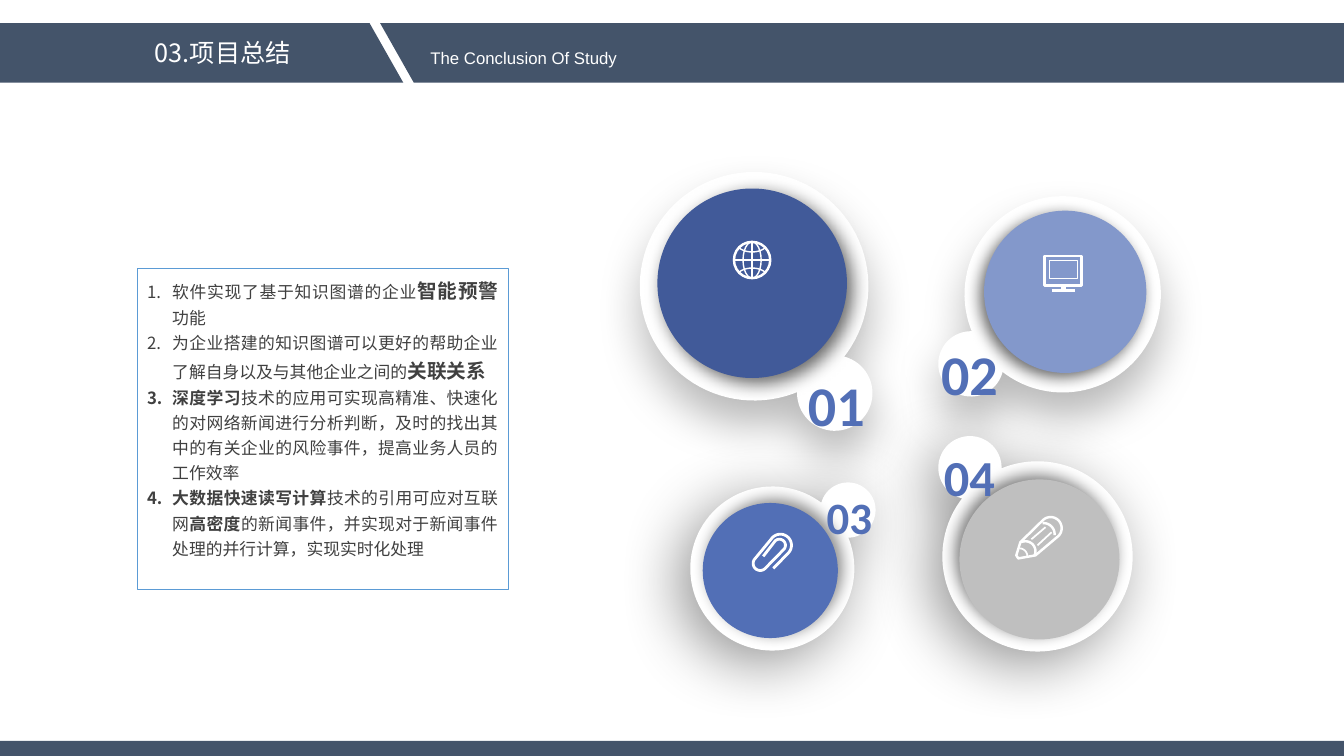
from math import acos, atan2, cos, degrees, hypot, radians, sin

from lxml.etree import SubElement
from pptx import Presentation
from pptx.dml.color import RGBColor
from pptx.enum.shapes import MSO_SHAPE as Shape
from pptx.enum.text import MSO_ANCHOR as Anchor, PP_ALIGN as Align
from pptx.oxml.ns import qn
from pptx.util import Inches, Pt

COLORS = {
    "white": "FFFFFF", "slate": "44546A", "navy": "415A99", "blue": "526FB6",
    "sky": "8398CB", "gray": "BFBFBF", "border": "5B9BD5", "ink": "404040", "black": "000000",
}
CJK = "Noto Sans CJK SC"
TITLE = "03.项目总结"
SUBTITLE = "The Conclusion Of Study"

CONCLUSIONS = [
    [("软件实现了基于知识图谱的企业", 12, False), ("智能预警", 14, True), ("功能", 12, False)],
    [("为企业搭建的知识图谱可以更好的帮助企业了解自身以及与其他企业之间的", 12, False),
     ("关联关系", 14, True)],
    [("深度学习", 12, True),
     ("技术的应用可实现高精准、快速化的对网络新闻进行分析判断，及时的找出其中的有关企业的风险事件，"
      "提高业务人员的工作效率", 12, False)],
    [("大数据快速读写计算", 12, True), ("技术的引用可应对互联网", 12, False),
     ("高密度", 12, True),
     ("的新闻事件，并实现对于新闻事件处理的并行计算，实现实时化处理", 12, False)],
]


def arc(cx, cy, rx, ry, start, end, steps=24):
    angles = [radians(start + (end - start) * i / steps) for i in range(steps + 1)]
    return [(cx + rx * cos(a), cy + ry * sin(a)) for a in angles]


def box(left, top, right, bottom):
    return [(left, top), (right, top), (right, bottom), (left, bottom), (left, top)]


GLOBE = [
    (1.75, [arc(7.46, 2.58, 0.18, 0.18, 0, 360)]),
    (1, [arc(7.46, 2.58, 0.09, 0.18, 0, 360),
         [(7.46, 2.4), (7.46, 2.76)], [(7.28, 2.58), (7.64, 2.58)],
         arc(7.46, 2.4, 0.16, 0.1, 150, 30), arc(7.46, 2.76, 0.16, 0.1, 210, 330)]),
]
MONITOR = [
    (2, [box(10.36, 2.54, 10.73, 2.83), [(10.43, 2.88), (10.66, 2.88)]]),
    (4, [[(10.55, 2.83), (10.55, 2.87)]]),
    (0.75, [box(10.41, 2.58, 10.69, 2.76)]),
]
PENCIL = [
    (1.75, [[(10.08, 5.51), (10.12, 5.38)] + arc(10.42, 5.24, 0.11, 0.11, -132, 45)
            + [(10.27, 5.51), (10.1, 5.54), (10.08, 5.51)],
            arc(10.35, 5.3, 0.11, 0.11, -95, 5),
            arc(10.17, 5.47, 0.1, 0.1, -115, 25)]),
    (1.25, [[(10.23, 5.35), (10.37, 5.23)], [(10.29, 5.41), (10.43, 5.28)],
            arc(10.11, 5.52, 0.08, 0.08, -90, 0)]),
]
PAPERCLIP = [
    (2, [[(7.67, 5.64)] + arc(7.74, 5.41, 0.11, 0.11, 45, -135)
         + arc(7.54, 5.59, 0.07, 0.07, 225, 45)
         + arc(7.73, 5.41, 0.06, 0.06, 45, -135) + [(7.57, 5.52)]]),
]

BUBBLES = [
    dict(number="01", size=40, label=(7.89, 3.43, 0.81, 0.85), ring=(7.48, 2.84, 1.12),
         bump=(8.28, 3.9, 0.36), ring_shadow=(28, 32, 17, 90), disc=(6.52, 1.87, 1.88),
         color="navy", disc_shadow=(60, 13, 5, 45), icon=GLOBE),
    dict(number="02", size=40, label=(9.21, 3.12, 0.81, 0.85), ring=(10.54, 2.92, 0.96),
         bump=(9.63, 3.61, 0.31), ring_shadow=(28, 32, 17, 90), disc=(9.76, 2.09, 1.61),
         color="sky", disc_shadow=(58, 11, 4, 135), icon=MONITOR),
    dict(number="04", size=36, label=(9.21, 4.2, 0.81, 0.78), ring=(10.29, 5.52, 0.93),
         bump=(9.62, 4.64, 0.3), ring_shadow=(41, 45, 12, 135), disc=(9.53, 4.77, 1.56),
         color="gray", disc_shadow=(49, 11, 5, 225), icon=PENCIL),
    dict(number="03", size=32, label=(8.02, 4.65, 0.81, 0.7), ring=(7.66, 5.64, 0.8),
         bump=(8.41, 5.06, 0.26), ring_shadow=(41, 45, 12, 135), disc=(6.97, 4.99, 1.34),
         color="blue", disc_shadow=(46, 11, 4, 315), icon=PAPERCLIP),
]


def rgb(color):
    return RGBColor.from_string(COLORS[color])


def style(shape, fill=None, line=None, width=1, shadow=None):
    shape.shadow.inherit = False
    if fill:
        shape.fill.solid()
        shape.fill.fore_color.rgb = rgb(fill)
    else:
        shape.fill.background()
    if line:
        shape.line.color.rgb = rgb(line)
        shape.line.width = Pt(width)
    else:
        shape.line.fill.background()
    if shadow:
        alpha, blur, distance, direction = shadow
        effects = shape._element.spPr.find(qn("a:effectLst"))
        outer = SubElement(effects, qn("a:outerShdw"), blurRad=str(Pt(blur)), dist=str(Pt(distance)),
                           dir=str(direction * 60000), algn="ctr", rotWithShape="0")
        tint = SubElement(outer, qn("a:srgbClr"), val=COLORS["black"])
        SubElement(tint, qn("a:alpha"), val=str(alpha * 1000))


def add_preset(slide, preset, place, **look):
    shape = slide.shapes.add_shape(preset, *map(Inches, place))
    style(shape, **look)
    return shape


def add_outline(slide, contours, **look):
    contours = [[(Inches(x), Inches(y)) for x, y in contour] for contour in contours]
    builder = slide.shapes.build_freeform(*contours[0][0])
    for i, contour in enumerate(contours):
        if i:
            builder.move_to(*contour[0])
        builder.add_line_segments(contour[1:], close=False)
    style(builder.convert_to_shape(), **look)


def add_run(paragraph, text, size, font, color, bold=False):
    run = paragraph.add_run()
    run.text = text
    run.font.size = Pt(size)
    run.font.bold = bold
    run.font.name = font
    run.font.color.rgb = rgb(color)
    if font == CJK:
        SubElement(run._r.get_or_add_rPr(), qn("a:ea"), typeface=font)


def add_label(slide, place, text, size, font, color, bold=False, spacing=1.0):
    frame = slide.shapes.add_textbox(*map(Inches, place)).text_frame
    frame.word_wrap = True
    paragraph = frame.paragraphs[0]
    paragraph.alignment = Align.CENTER
    paragraph.line_spacing = spacing
    add_run(paragraph, text, size, font, color, bold)


def ring_with_bump(ring, bump):
    (x, y, big), (u, v, small) = ring, bump
    gap = hypot(u - x, v - y)
    heading = degrees(atan2(v - y, u - x))
    cut = degrees(acos((big**2 + gap**2 - small**2) / (2 * big * gap)))
    bump_cut = degrees(acos((small**2 + gap**2 - big**2) / (2 * small * gap)))
    outline = arc(x, y, big, big, heading + cut, heading + 360 - cut, 90)
    outline += arc(u, v, small, small, heading + 180 + bump_cut, heading + 540 - bump_cut, 48)
    return outline + outline[:1]


def add_header(slide):
    for left, width in [(-0.5, 4.5), (3.77, 10.08)]:
        band = add_preset(slide, Shape.PARALLELOGRAM, (left, 0.23, width, 0.59), fill="slate")
        band.adjustments[0] = 0.566
        band._element.spPr.find(qn("a:xfrm")).set("flipV", "1")
    add_preset(slide, Shape.RECTANGLE, (0, 7.35, 13.33, 0.15), fill="slate")
    add_label(slide, (-0.5, 0.32, 5.42, 0.4), TITLE, 18, CJK, "white")
    add_label(slide, (2.45, 0.42, 5.49, 0.3), SUBTITLE, 12, "Arial", "white")


def add_bubble(slide, bubble):
    add_outline(slide, [ring_with_bump(bubble["ring"], bubble["bump"])], fill="white",
                line="white", width=2, shadow=bubble["ring_shadow"])
    left, top, size = bubble["disc"]
    add_preset(slide, Shape.OVAL, (left, top, size, size), fill=bubble["color"],
               line="gray" if bubble["color"] == "gray" else None, width=2,
               shadow=bubble["disc_shadow"])
    add_label(slide, bubble["label"], bubble["number"], bubble["size"], "Calibri", "blue", True, 1.3)
    for width, contours in bubble["icon"]:
        add_outline(slide, contours, line="white", width=width)


def add_conclusions(slide):
    panel = add_preset(slide, Shape.RECTANGLE, (1.36, 2.66, 3.68, 3.19), line="border", width=0.75)
    frame = panel.text_frame
    frame.word_wrap = True
    frame.vertical_anchor = Anchor.TOP
    for i, conclusion in enumerate(CONCLUSIONS):
        paragraph = frame.add_paragraph() if i else frame.paragraphs[0]
        paragraph.alignment = Align.JUSTIFY
        paragraph.line_spacing = 1.25
        props = paragraph._p.get_or_add_pPr()
        props.set("marL", str(Inches(0.25)))
        props.set("indent", str(-Inches(0.25)))
        SubElement(props, qn("a:buFont"), typeface="+mj-lt")
        SubElement(props, qn("a:buAutoNum"), type="arabicPeriod")
        for text, size, bold in conclusion:
            add_run(paragraph, text, size, CJK, "ink", bold)


def main():
    deck = Presentation()
    deck.slide_width, deck.slide_height = Inches(13.33), Inches(7.5)
    slide = deck.slides.add_slide(deck.slide_layouts[6])
    add_header(slide)
    for bubble in BUBBLES:
        add_bubble(slide, bubble)
    add_conclusions(slide)
    deck.save("out.pptx")


if __name__ == "__main__":
    main()
